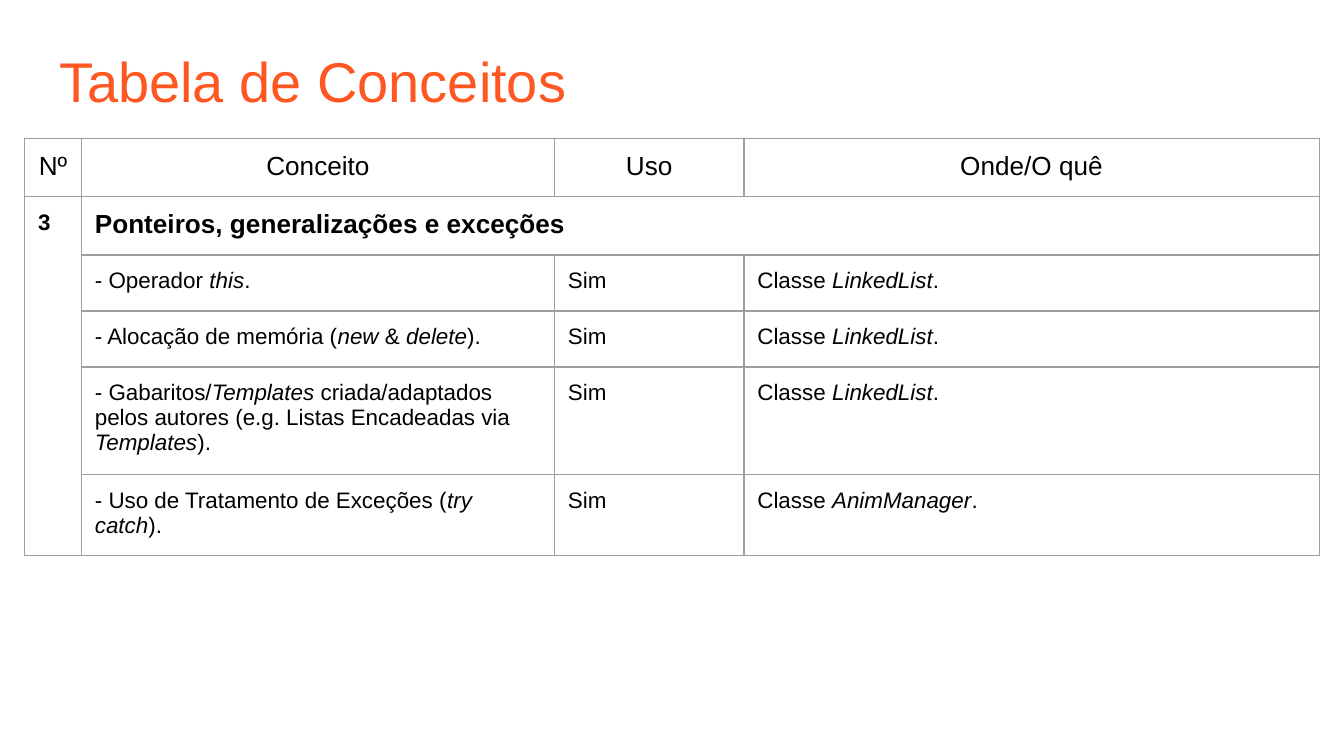
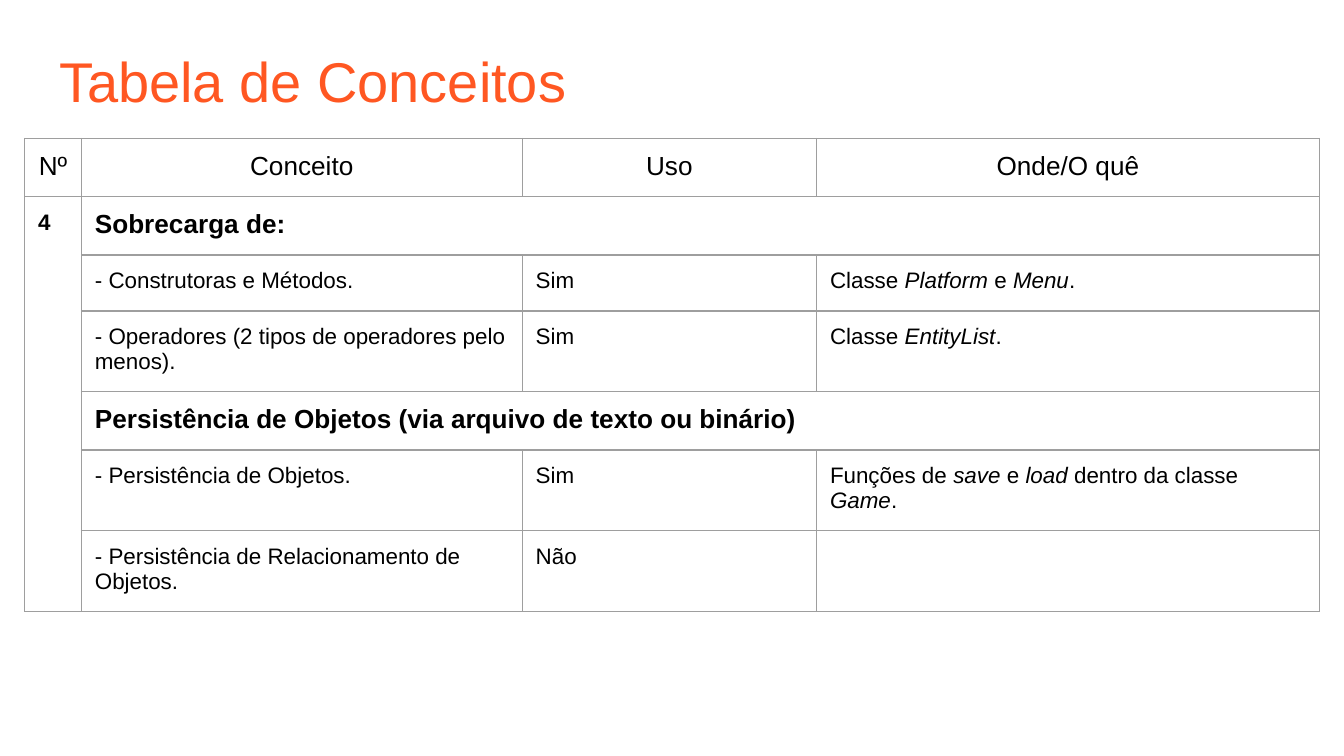
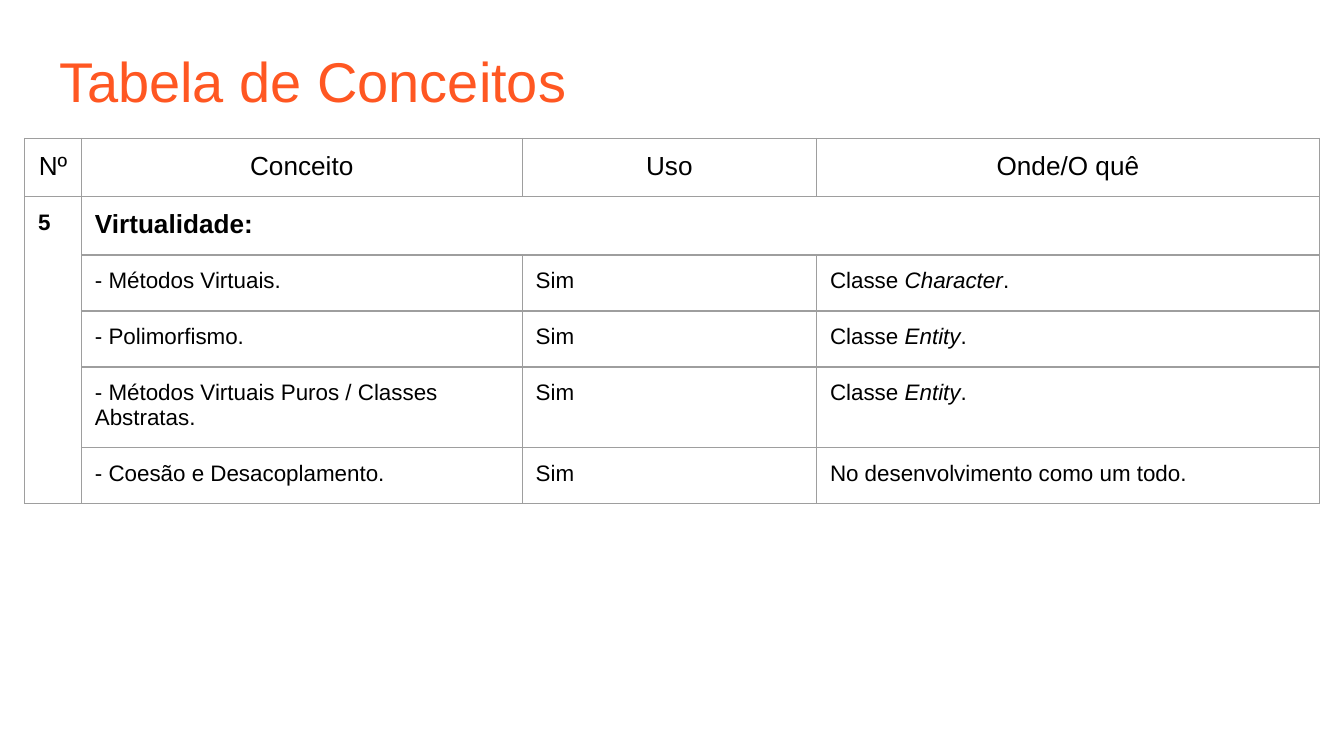
from lxml import etree
from pptx import Presentation
from pptx.dml.color import RGBColor
from pptx.enum.text import MSO_ANCHOR, PP_ALIGN
from pptx.oxml.ns import qn
from pptx.util import Inches, Pt

TOP = MSO_ANCHOR.TOP
LEFT, CENTER = PP_ALIGN.LEFT, PP_ALIGN.CENTER

# Shared look
ORANGE = RGBColor(0xFF, 0x57, 0x22)
BLACK = RGBColor(0x00, 0x00, 0x00)
GRAY = RGBColor(0x9E, 0x9E, 0x9E)
FONT = "Arial"
TITLE_SIZE, HEADING_SIZE, BODY_SIZE = Pt(30), Pt(14), Pt(12)
BORDER_WIDTH = Pt(0.75)

# 16:9 slide on a grid of 1000 columns, with square rows
SLIDE_WIDTH = Inches(10)
SLIDE_HEIGHT = SLIDE_WIDTH * 9 // 16
UNIT = SLIDE_WIDTH // 1000
PADDING = 10 * UNIT
TITLE_BOX = (34.1, 25, 932, 63)
TABLE_BOX = (18.3, 103, 328, 328)
HEADING_ROW, BODY_ROW = 43.3, 41.67
NUMBER_WIDTH = 42.3
TABLE_WIDTH = 963.4

TITLE = "Tabela de Conceitos"
HEADER = ("Nº", "Conceito", "Uso", "Onde/O quê")

# Each topic: number, widths of the concept and use columns, rows.
# A row with one entry is a section heading; asterisks enclose italics.
TOPICS = [
    ("3", (352, 141), [
        ("Ponteiros, generalizações e exceções",),
        ("- Operador *this*.", "Sim", "Classe *LinkedList*."),
        ("- Alocação de memória (*new* & *delete*).", "Sim", "Classe *LinkedList*."),
        ("- Gabaritos/*Templates* criada/adaptados pelos autores "
         "(e.g. Listas Encadeadas via *Templates*).", "Sim", "Classe *LinkedList*."),
        ("- Uso de Tratamento de Exceções (*try catch*).", "Sim", "Classe *AnimManager*."),
    ]),
    ("4", (328, 219), [
        ("Sobrecarga de:",),
        ("- Construtoras e Métodos.", "Sim", "Classe *Platform *e *Menu*."),
        ("- Operadores (2 tipos de operadores pelo menos).", "Sim", "Classe *EntityList*."),
        ("Persistência de Objetos (via arquivo de texto ou binário)",),
        ("- Persistência de Objetos.", "Sim",
         "Funções de *save *e *load *dentro da classe *Game*."),
        ("- Persistência de Relacionamento de Objetos.", "Não", ""),
    ]),
    ("5", (328, 219), [
        ("Virtualidade:",),
        ("- Métodos Virtuais.", "Sim", "Classe *Character*."),
        ("- Polimorfismo.", "Sim", "Classe *Entity*."),
        ("- Métodos Virtuais Puros / Classes Abstratas.", "Sim", "Classe *Entity*."),
        ("- Coesão e Desacoplamento.", "Sim", "No desenvolvimento como um todo."),
    ]),
]


def to_length(units):
    return round(units * UNIT)


def write_text(paragraph, text, size, color=BLACK, bold=False, align=LEFT):
    paragraph.alignment = align
    font = paragraph.font
    font.name, font.size, font.bold = FONT, size, bold
    font.color.rgb = color
    for index, part in enumerate(text.split("*")):
        if part:
            run = paragraph.add_run()
            run.text = part
            if index % 2:
                run.font.italic = True


def style_cell(cell):
    cell.fill.background()
    cell.vertical_anchor = TOP
    cell.margin_left = cell.margin_right = PADDING
    cell.margin_top = cell.margin_bottom = PADDING
    # Borders come before the fill in the cell properties
    properties = cell._tc.get_or_add_tcPr()
    for index, side in enumerate(("a:lnL", "a:lnR", "a:lnT", "a:lnB")):
        line = etree.Element(qn(side), w=str(int(BORDER_WIDTH)))
        fill = etree.SubElement(line, qn("a:solidFill"))
        etree.SubElement(fill, qn("a:srgbClr"), val=str(GRAY))
        properties.insert(index, line)


def add_title(slide, box):
    shape = slide.shapes.add_textbox(*map(to_length, box))
    frame = shape.text_frame
    frame.word_wrap = True
    frame.vertical_anchor = TOP
    frame.margin_left = frame.margin_right = PADDING
    frame.margin_top = frame.margin_bottom = PADDING
    write_text(frame.paragraphs[0], TITLE, TITLE_SIZE, ORANGE)


def add_concept_table(slide, box, number, widths, rows):
    left, top, width, height = map(to_length, box)
    shape = slide.shapes.add_table(len(rows) + 1, len(HEADER), left, top, width, height)
    table = shape.table
    table.first_row = table.horz_banding = False

    # Grid: the last column takes the rest of the width
    fixed = (NUMBER_WIDTH, *widths)
    for column, units in zip(table.columns, (*fixed, TABLE_WIDTH - sum(fixed))):
        column.width = to_length(units)
    for index, row in enumerate(table.rows):
        row.height = to_length(HEADING_ROW if index < 2 else BODY_ROW)
    # The frame keeps its own size; the rows grow with their text
    shape.width, shape.height = width, height
    for cell in table.iter_cells():
        style_cell(cell)

    # Header row and topic number
    for column, label in enumerate(HEADER):
        write_text(table.cell(0, column).text_frame.paragraphs[0],
                   label, HEADING_SIZE, align=CENTER)
    number_cell = table.cell(1, 0)
    number_cell.merge(table.cell(len(rows), 0))
    write_text(number_cell.text_frame.paragraphs[0], number, BODY_SIZE, bold=True)

    # Section headings and concepts
    for row_index, entries in enumerate(rows, start=1):
        heading = len(entries) == 1
        if heading:
            table.cell(row_index, 1).merge(table.cell(row_index, len(HEADER) - 1))
        for column, text in enumerate(entries, start=1):
            write_text(table.cell(row_index, column).text_frame.paragraphs[0], text,
                       HEADING_SIZE if heading else BODY_SIZE, bold=heading)


def main():
    presentation = Presentation()
    presentation.slide_width, presentation.slide_height = SLIDE_WIDTH, SLIDE_HEIGHT
    blank = presentation.slide_layouts[6]
    for topic in TOPICS:
        slide = presentation.slides.add_slide(blank)
        add_title(slide, TITLE_BOX)
        add_concept_table(slide, TABLE_BOX, *topic)
    presentation.save("out.pptx")


if __name__ == "__main__":
    main()
